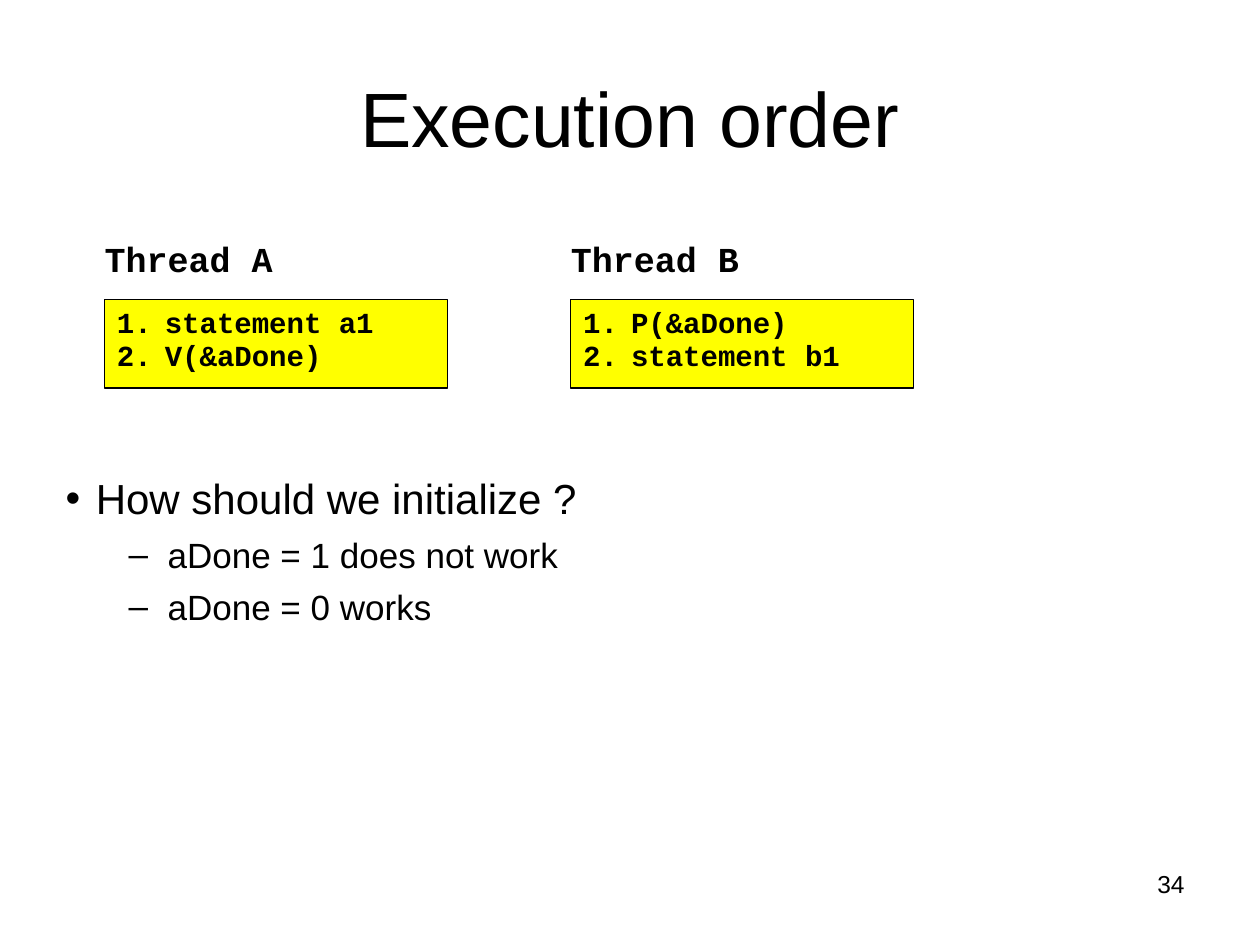
from dataclasses import dataclass

from lxml import etree
from pptx import Presentation
from pptx.dml.color import RGBColor
from pptx.enum.shapes import MSO_SHAPE
from pptx.enum.text import MSO_ANCHOR, MSO_AUTO_SIZE, PP_ALIGN
from pptx.oxml.ns import qn
from pptx.util import Inches, Pt

RECT = MSO_SHAPE.RECTANGLE
TOP, MIDDLE = MSO_ANCHOR.TOP, MSO_ANCHOR.MIDDLE
FIXED = MSO_AUTO_SIZE.NONE
LEFT, CENTER, RIGHT = PP_ALIGN.LEFT, PP_ALIGN.CENTER, PP_ALIGN.RIGHT


@dataclass(frozen=True)
class Theme:
    ink: RGBColor = RGBColor(0, 0, 0)
    code_fill: RGBColor = RGBColor(255, 255, 0)
    sans: str = "Arial"
    mono: str = "Courier New"
    title: float = 44
    point: float = 24
    sub: float = 20
    label: float = 20
    code: float = 16.6
    page: float = 14


THEME = Theme()


def style(para, size, face=THEME.sans, bold=False, align=LEFT):
    para.alignment = align
    for run in para.runs:
        font = run.font
        font.name, font.size, font.bold = face, Pt(size), bold
        font.color.rgb = THEME.ink


def mark(para, left, hang, tag, **attrs):
    """Give a paragraph a hanging indent and a bullet or number."""
    props = para._p.get_or_add_pPr()
    props.set("marL", str(Inches(left)))
    props.set("indent", str(-Inches(hang)))
    etree.SubElement(props, qn(tag), **attrs)


def place(shape, box):
    shape.left, shape.top, shape.width, shape.height = map(Inches, box)


def add_label(slide, box, text, size, **look):
    """Add one line of text, centred on the height of its box."""
    frame = slide.shapes.add_textbox(*map(Inches, box)).text_frame
    frame.word_wrap = True
    frame.vertical_anchor = MIDDLE
    frame.text = text
    style(frame.paragraphs[0], size, **look)
    return frame


def add_title(slide, box, text):
    title = slide.shapes.title
    place(title, box)
    frame = title.text_frame
    frame.text = text
    frame.vertical_anchor = MIDDLE
    style(frame.paragraphs[0], THEME.title, align=CENTER)


def add_thread(slide, box, name, lines):
    """Add a thread's name above its numbered code."""
    left, top, width, height = box
    head, code_top = 0.4, 0.53
    label = add_label(slide, (left, top, width, head), name,
                      THEME.label, face=THEME.mono, bold=True)
    label.margin_left = 0

    code = slide.shapes.add_shape(
        RECT, *map(Inches, (left, top + code_top, width, height - code_top)))
    code.shadow.inherit = False
    code.fill.solid()
    code.fill.fore_color.rgb = THEME.code_fill
    code.line.color.rgb = THEME.ink
    code.line.width = Pt(0.75)
    frame = code.text_frame
    frame.vertical_anchor = TOP
    frame.text = "\n".join(lines)
    for para in frame.paragraphs:
        para.line_spacing = 0.97
        mark(para, 0.38, 0.38, "a:buAutoNum", type="arabicPeriod")
        style(para, THEME.code, THEME.mono, True)


def add_points(slide, box, points):
    """Fill the body with (level, text) points."""
    body = slide.placeholders[1]
    place(body, box)
    frame = body.text_frame
    frame.auto_size = FIXED
    frame.text = "\n".join(text for _, text in points)
    looks = [(0.24, 0.24, "•", THEME.point), (0.81, 0.31, "–", THEME.sub)]
    for i, (para, (level, _)) in enumerate(zip(frame.paragraphs, points)):
        left, hang, sign, size = looks[level]
        para.level = level
        para.space_before = Pt(6 if i else 0)
        mark(para, left, hang, "a:buChar", char=sign)
        style(para, size)


def main():
    deck = Presentation()
    deck.slide_width, deck.slide_height = Inches(10), Inches(7.5)
    slide = deck.slides.add_slide(deck.slide_layouts[1])

    add_title(slide, (0.5, 0.3, 9, 1.25), "Execution order")
    threads = [
        ("Thread A", ["statement a1", "V(&aDone)"]),
        ("Thread B", ["P(&aDone)", "statement b1"]),
    ]
    for i, (name, lines) in enumerate(threads):
        add_thread(slide, (0.83 + 3.7 * i, 1.85, 2.72, 1.23), name, lines)
    add_points(slide, (0.42, 3.7, 9, 3.05), [
        (0, "How should we initialize ?"),
        (1, "aDone = 1 does not work"),
        (1, "aDone = 0 works"),
    ])
    add_label(slide, (7.17, 6.83, 2.33, 0.36), "34", THEME.page, align=RIGHT)
    deck.save("out.pptx")


if __name__ == "__main__":
    main()
